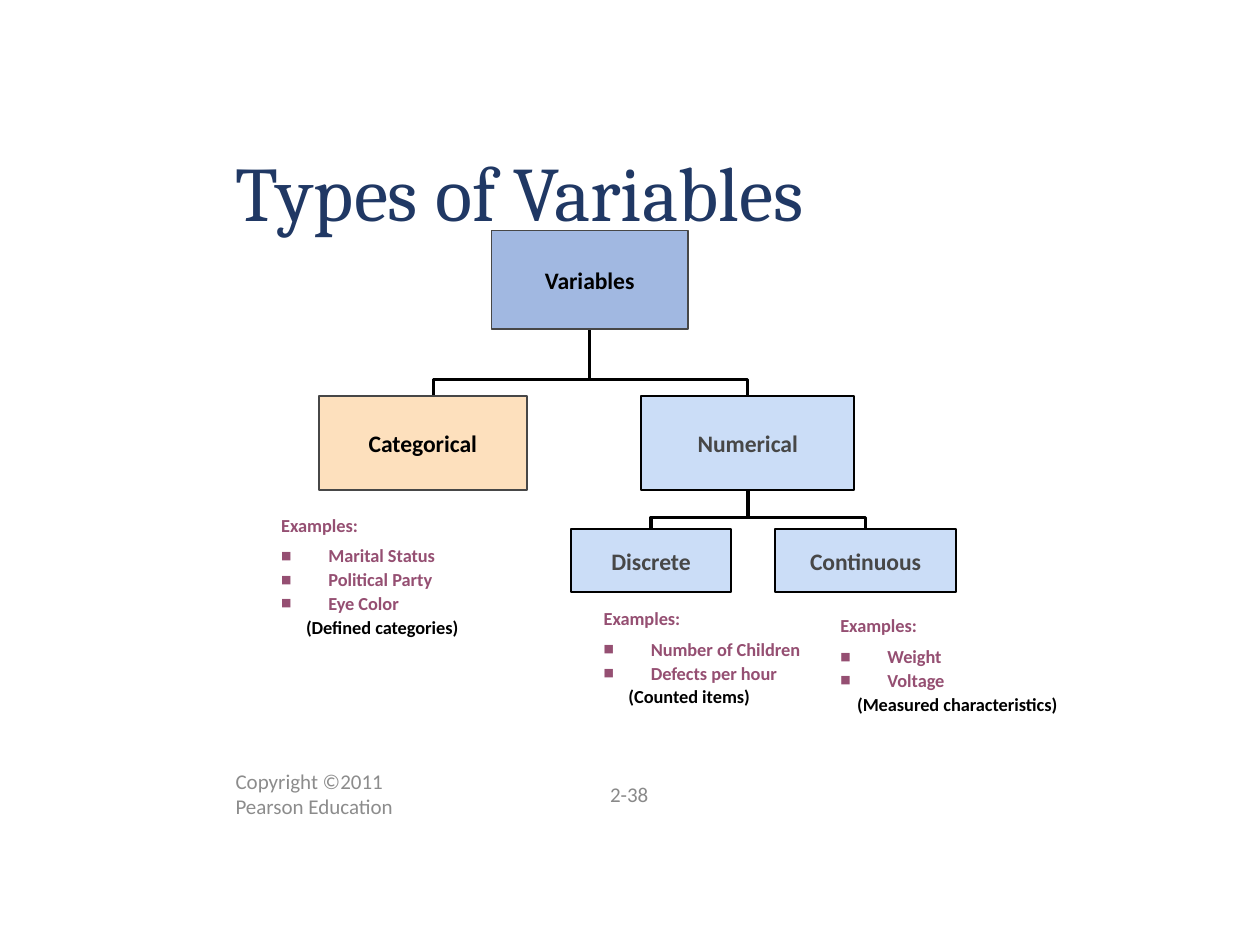
"""Build the slide that sorts variables into a tree of types with examples."""
from dataclasses import dataclass

from lxml import etree
from pptx import Presentation
from pptx import util as u
from pptx.dml.color import RGBColor
from pptx.enum import shapes, text
from pptx.oxml import ns


@dataclass(frozen=True)
class Theme:
    heading_font: str = "Cambria"
    body_font: str = "Calibri"
    heading: str = "203864"
    ink: str = "000000"
    muted: str = "474747"
    example: str = "954F72"
    copyright: str = "8C8C8C"
    number: str = "898989"
    root_fill: str = "4472C4"
    warm_fill: str = "FDE0BD"
    cool_fill: str = "CBDDF7"
    heading_size: float = 44
    footer_size: float = 12
    node_size: float = 13.5
    example_size: float = 10.5


THEME = Theme()


@dataclass(frozen=True)
class Area:
    left: float
    top: float
    width: float
    height: float

    def lengths(self) -> tuple:
        return tuple(map(u.Cm, (self.left, self.top, self.width, self.height)))


@dataclass(frozen=True)
class Node:
    label: str
    area: Area
    fill: str = THEME.cool_fill
    border: str = THEME.ink
    color: str = THEME.muted
    opacity: int = 100
    inlet: float = 0.5


@dataclass(frozen=True)
class Branch:
    parent: Node
    child: Node
    bend: float
    weight: float


@dataclass(frozen=True)
class Examples:
    area: Area
    items: tuple
    remark: str
    remark_indent: float


def add_xml(parent, tag: str, **attributes: str):
    return etree.SubElement(parent, ns.qn(tag), attributes)


def write(paragraph, content: str, *, size: float, color: str, font: str = THEME.body_font,
          bold: bool = False, align=text.PP_ALIGN.LEFT, before: float = 0,
          indent: float = 0, hanging: float = 0, bullet: str = "") -> None:
    """Fill a paragraph with formatted text."""
    properties = paragraph._p.get_or_add_pPr()
    properties.set("marL", str(u.Cm(indent)))
    properties.set("indent", str(-u.Cm(hanging)))
    if bullet:
        add_xml(add_xml(properties, "a:buClr"), "a:srgbClr", val=color)
        add_xml(properties, "a:buSzPct", val="60000")
        add_xml(properties, "a:buFont", typeface=font)
        add_xml(properties, "a:buChar", char=bullet)
    paragraph.alignment = align
    if before:
        paragraph.space_before = u.Pt(before)
    run = paragraph.add_run()
    run.text = content
    run.font.name, run.font.size, run.font.bold = font, u.Pt(size), bold
    run.font.color.rgb = RGBColor.from_string(color)


def draw_title(slide, content: str, area: Area) -> None:
    title = slide.shapes.title
    title.left, title.top, title.width, title.height = area.lengths()
    frame = title.text_frame
    frame.auto_size = text.MSO_AUTO_SIZE.NONE
    frame.vertical_anchor = text.MSO_ANCHOR.MIDDLE
    frame.paragraphs[0].line_spacing = 0.9
    write(frame.paragraphs[0], content, size=THEME.heading_size,
          color=THEME.heading, font=THEME.heading_font)


def draw_footer(slide, content: str, area: Area, color: str, align) -> None:
    frame = slide.shapes.add_textbox(*area.lengths()).text_frame
    frame.word_wrap = True
    frame.vertical_anchor = text.MSO_ANCHOR.MIDDLE
    write(frame.paragraphs[0], content, size=THEME.footer_size, color=color, align=align)


def draw_branch(slide, branch: Branch) -> None:
    """Draw an elbow from the parent's bottom edge down to the child's top edge."""
    source, target = branch.parent.area, branch.child.area
    start_x, start_y = source.left + source.width / 2, source.top + source.height
    end_x, end_y = target.left + target.width * branch.child.inlet, target.top
    drop, reach = end_y - start_y, abs(end_x - start_x)
    middle_x, middle_y = (start_x + end_x) / 2, (start_y + end_y) / 2
    top, bottom = middle_y - reach / 2, middle_y + reach / 2
    if end_x > start_x:
        top, bottom = bottom, top
    line = slide.shapes.add_connector(
        shapes.MSO_CONNECTOR.ELBOW, u.Cm(middle_x - drop / 2), u.Cm(top),
        u.Cm(middle_x + drop / 2), u.Cm(bottom))
    line.line.color.rgb = RGBColor.from_string(THEME.ink)
    line.line.width = u.Pt(branch.weight)
    properties = line._element.spPr
    properties.find(ns.qn("a:xfrm")).set("rot", "5400000")
    guides = properties.find(ns.qn("a:prstGeom")).get_or_add_avLst()
    add_xml(guides, "a:gd", name="adj1", fmla=f"val {round(branch.bend * 100000)}")
    add_xml(properties, "a:effectLst")


def draw_node(slide, node: Node) -> None:
    box = slide.shapes.add_shape(shapes.MSO_SHAPE.RECTANGLE, *node.area.lengths())
    box.shadow.inherit = False
    box.fill.solid()
    box.fill.fore_color.rgb = RGBColor.from_string(node.fill)
    if node.opacity < 100:
        color = box._element.spPr.find(ns.qn("a:solidFill"))[0]
        add_xml(color, "a:alpha", val=str(node.opacity * 1000))
    box.line.color.rgb = RGBColor.from_string(node.border)
    box.line.width = u.Pt(1)
    box.text_frame.word_wrap = False
    box.text_frame.vertical_anchor = text.MSO_ANCHOR.MIDDLE
    write(box.text_frame.paragraphs[0], node.label, size=THEME.node_size,
          color=node.color, bold=True, align=text.PP_ALIGN.CENTER)


def draw_examples(slide, examples: Examples) -> None:
    frame = slide.shapes.add_textbox(*examples.area.lengths()).text_frame
    frame.word_wrap = True
    frame.margin_left = frame.margin_right = u.Cm(0.18)
    frame.margin_top = frame.margin_bottom = u.Cm(0.1)
    style = dict(size=THEME.example_size, bold=True)
    write(frame.paragraphs[0], "Examples:", color=THEME.example, **style)
    for position, item in enumerate(examples.items):
        write(frame.add_paragraph(), item, color=THEME.example, before=1 if position else 5,
              indent=0.95, hanging=0.95, bullet="■", **style)
    write(frame.add_paragraph(), examples.remark, color=THEME.ink, before=1,
          indent=examples.remark_indent, **style)


def main() -> None:
    deck = Presentation()
    deck.slide_width, deck.slide_height = u.Cm(25.4), u.Cm(19.05)
    slide = deck.slides.add_slide(deck.slide_layouts[5])

    variables = Node("Variables", Area(9.91, 4.65, 3.96, 1.98), THEME.root_fill,
                     THEME.muted, THEME.ink, opacity=50)
    categorical = Node("Categorical", Area(6.43, 7.98, 4.19, 1.9), THEME.warm_fill,
                       THEME.muted, THEME.ink, inlet=0.55)
    numerical = Node("Numerical", Area(12.93, 7.98, 4.29, 1.9))
    discrete = Node("Discrete", Area(11.51, 10.67, 3.23, 1.27))
    continuous = Node("Continuous", Area(15.62, 10.67, 3.66, 1.27))

    draw_footer(slide, "Copyright ©2011 Pearson Education", Area(4.5, 15.62, 4.29, 0.76),
                THEME.copyright, text.PP_ALIGN.LEFT)
    draw_footer(slide, "2-38", Area(9.47, 15.62, 6.43, 0.76),
                THEME.number, text.PP_ALIGN.CENTER)
    draw_title(slide, "Types of Variables", Area(4.5, 3.15, 16.43, 1.63))

    for parent, children, bend, weight in (
            (numerical, (continuous, discrete), 0.7, 2),
            (variables, (numerical, categorical), 0.75, 1.75)):
        for child in children:
            draw_branch(slide, Branch(parent, child, bend, weight))
    for node in (variables, categorical, numerical, discrete, continuous):
        draw_node(slide, node)

    for examples in (
            Examples(Area(5.49, 10.26, 5.23, 2.74),
                     ("Marital Status", "Political Party", "Eye Color"),
                     "(Defined categories)", 0.5),
            Examples(Area(11.99, 12.14, 4.78, 2.29),
                     ("Number of Children", "Defects per hour"), "(Counted items)", 0.5),
            Examples(Area(16.76, 12.29, 5.72, 2.29),
                     ("Weight", "Voltage"), "(Measured characteristics)", 0.34)):
        draw_examples(slide, examples)
    deck.save("out.pptx")


if __name__ == "__main__":
    main()
